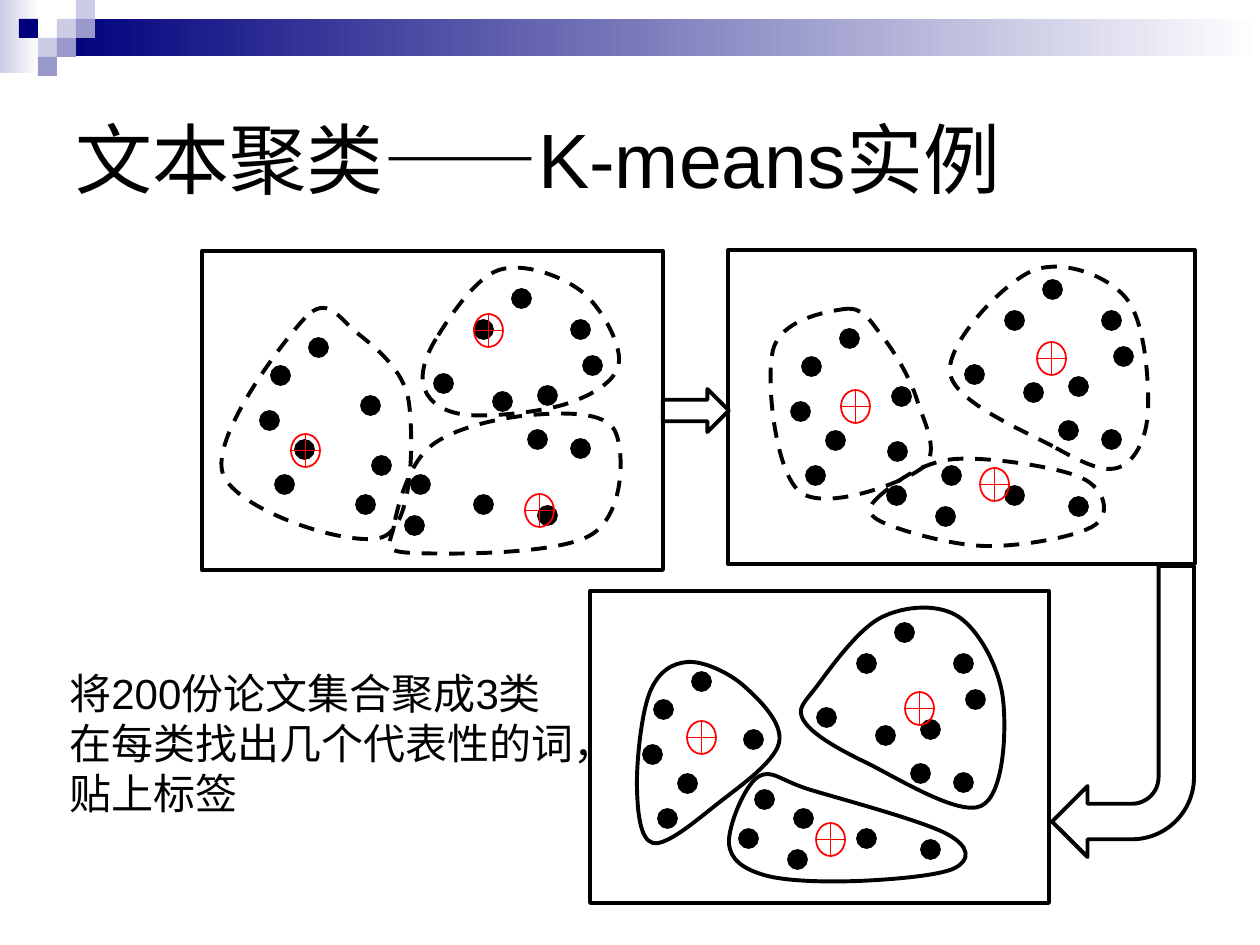
import lxml.etree
import pptx
import pptx.dml.color
import pptx.enum.dml
import pptx.enum.lang
import pptx.enum.shapes
import pptx.enum.text
import pptx.oxml.ns
import pptx.util

RGBColor = pptx.dml.color.RGBColor
SHAPE = pptx.enum.shapes.MSO_SHAPE
DASH = pptx.enum.dml.MSO_LINE.DASH
SCALE = 914400 / 126

BLACK = RGBColor(0x00, 0x00, 0x00)
WHITE = RGBColor(0xFF, 0xFF, 0xFF)
RED = RGBColor(0xFF, 0x00, 0x00)
NAVY = RGBColor(0x00, 0x00, 0x7D)
LAVENDER = RGBColor(0xCC, 0xCC, 0xE6)
PERIWINKLE = RGBColor(0x99, 0x99, 0xCC)

TILE = 19
TILES = [(3, 1, LAVENDER), (4, 0, LAVENDER), (4, 1, PERIWINKLE), (2, 2, LAVENDER),
         (1, 1, NAVY), (3, 2, PERIWINKLE), (2, 3, PERIWINKLE)]

PAPERS = [(107, 87), (69, 115), (58, 160), (336, 135), (93, 189), (73, 224), (154, 244),
          (209, 224), (159, 145), (369, 188), (326, 179), (336, 255), (272, 244),
          (203, 265), (291, 141), (232, 123), (381, 105), (310, 38), (272, 69), (369, 69)]

STEPS = [
    {"box": (202, 251, 461, 319), "shift": (0, 0), "moving_paper": (170, 205), "dash": DASH,
     "centroids": [(89, 183), (323, 243), (272, 63)],
     "clusters": [
         [(103, 67), (21, 223), (181, 286), (207, 152), (154, 81)],
         [(192, 275), (210, 302), (389, 284), (413, 180), (330, 164), (229, 195)],
         [(234, 88), (223, 139), (266, 164), (367, 152), (417, 111), (379, 40), (297, 19)]]},
    {"box": (728, 250, 467, 314), "shift": (5, -8), "moving_paper": (155, 200), "dash": DASH,
     "centroids": [(113, 140), (252, 218), (309, 92)],
     "clusters": [
         [(117, 59), (154, 86), (189, 150), (194, 218), (72, 242), (45, 100)],
         [(155, 243), (152, 271), (258, 296), (367, 275), (354, 228), (227, 209)],
         [(328, 198), (392, 217), (420, 160), (398, 48), (304, 21), (222, 123)]]},
    {"box": (590, 591, 459, 312), "shift": (-5, -6), "moving_paper": (170, 205), "dash": None,
     "centroids": [(97, 130), (315, 101), (226, 232)],
     "clusters": [
         [(98, 71), (60, 101), (47, 195), (63, 252), (126, 214), (189, 152), (154, 95)],
         [(214, 130), (275, 171), (391, 215), (413, 108), (369, 26), (292, 26), (227, 95)],
         [(139, 252), (174, 284), (267, 290), (365, 277), (357, 243), (221, 199), (168, 186)]]},
]


def px(length):
    """Turn pixels into EMU."""
    return pptx.util.Emu(round(length * SCALE))


def set_values(target, values):
    """Set each named attribute of the target."""
    for name, value in values.items():
        setattr(target, name, value)


def paint(shape, fill=None, line=None, width=1, dash=None):
    """Give a shape its fill and outline, without shadow."""
    shape.shadow.inherit = False
    if fill is None:
        shape.fill.background()
    else:
        shape.fill.solid()
        shape.fill.fore_color.rgb = fill
    if line is None:
        shape.line.fill.background()
    else:
        shape.line.color.rgb = line
        set_values(shape.line, {"width": pptx.util.Pt(width), "dash_style": dash})


def add_preset(shapes, kind, box, **style):
    """Add a painted preset shape in a pixel box."""
    shape = shapes.add_shape(kind, *map(px, box))
    paint(shape, **style)
    return shape


def add_header(slide, left, top):
    """Draw the gradient band and its tiles."""
    shapes = slide.shapes.add_group_shape().shapes
    bands = [((0, 0, 39, 73), LAVENDER), ((57, TILE, 1203, 37), NAVY)]
    for (x, y, width, height), colour in bands:
        band = add_preset(shapes, SHAPE.RECTANGLE, (left + x, top + y, width, height))
        band.fill.gradient()
        band.fill.gradient_angle = 0
        for stop, stop_colour in zip(band.fill.gradient_stops, (colour, WHITE)):
            stop.color.rgb = stop_colour
    for column, row, colour in TILES:
        tile_box = (left + column * TILE, top + row * TILE, TILE, TILE)
        add_preset(shapes, SHAPE.RECTANGLE, tile_box, fill=colour)


def smooth_curves(anchors):
    """Return the Bezier pieces of a closed Catmull-Rom curve."""
    count = len(anchors)
    pieces = []
    for i in range(count):
        before, start, end, after = (anchors[(i + k) % count] for k in (-1, 0, 1, 2))
        leave = tuple(s + (e - b) / 6 for b, s, e in zip(before, start, end))
        arrive = tuple(e - (a - s) / 6 for s, e, a in zip(start, end, after))
        pieces.append((start, leave, arrive, end))
    return pieces


def curve_bounds(pieces, samples=16):
    """Return the opposite corners around Bezier pieces."""
    points = []
    for piece in pieces:
        for t in (step / samples for step in range(samples)):
            u = 1 - t
            points.append([u ** 3 * a + 3 * u * u * t * b + 3 * u * t * t * c + t ** 3 * d
                           for a, b, c, d in zip(*piece)])
    xs, ys = zip(*points)
    return (min(xs), min(ys)), (max(xs), max(ys))


def add_cluster(shapes, left, top, anchors, dash):
    """Draw a smooth closed outline through the anchors."""
    pieces = smooth_curves(anchors)
    (x0, y0), (x1, y1) = curve_bounds(pieces)
    builder = shapes.build_freeform(px(left + x0), px(top + y0))
    builder.add_line_segments([(px(left + x1), px(top + y1))])
    cluster = builder.convert_to_shape()
    qn = pptx.oxml.ns.qn
    outline = cluster.element.find(".//" + qn("a:path"))
    for child in list(outline):
        outline.remove(child)
    moves = [("a:moveTo", pieces[0][:1])] + [("a:cubicBezTo", piece[1:]) for piece in pieces]
    for tag, points in moves:
        move = lxml.etree.SubElement(outline, qn(tag))
        for x, y in points:
            lxml.etree.SubElement(move, qn("a:pt"), x=str(int(px(x - x0))), y=str(int(px(y - y0))))
    lxml.etree.SubElement(outline, qn("a:close"))
    paint(cluster, line=BLACK, width=2.25, dash=dash)


def add_step(slide, box, shift, moving_paper, dash, centroids, clusters):
    """Draw one clustering step inside its frame."""
    left, top, _, _ = box
    shapes = slide.shapes.add_group_shape().shapes
    for x, y in PAPERS + [moving_paper]:
        paper_box = (left + shift[0] + x, top + shift[1] + y, 19, 19)
        add_preset(shapes, SHAPE.OVAL, paper_box, fill=BLACK, line=BLACK)
    for anchors in clusters:
        add_cluster(shapes, left, top, anchors, dash)
    for x, y in centroids:
        add_preset(shapes, SHAPE.FLOWCHART_OR, (left + x, top + y, 29, 33), line=RED)
    add_preset(shapes, SHAPE.RECTANGLE, box, line=BLACK, width=2.25)


def add_arrows(slide, forward_box, down_box):
    """Draw the arrows that lead from step to step."""
    add_preset(slide.shapes, SHAPE.RIGHT_ARROW, forward_box, line=BLACK, width=2.25)
    bend = add_preset(slide.shapes, SHAPE.BENT_ARROW, down_box,
                      fill=WHITE, line=BLACK, width=2.25)
    bend.rotation = 180


def write_lines(frame, lines, size):
    """Write left-aligned lines of text."""
    for i, line in enumerate(lines):
        paragraph = frame.paragraphs[0] if i == 0 else frame.add_paragraph()
        paragraph.alignment = pptx.enum.text.PP_ALIGN.LEFT
        run = paragraph.add_run()
        run.text = line
        set_values(run.font, {"name": "Arial", "size": pptx.util.Pt(size),
                              "language_id": pptx.enum.lang.MSO_LANGUAGE_ID.SIMPLIFIED_CHINESE})
        run.font.color.rgb = BLACK


def add_title(slide, box):
    """Place the slide title."""
    title = slide.shapes.title
    set_values(title, dict(zip(("left", "top", "width", "height"), map(px, box))))
    set_values(title.text_frame, {"vertical_anchor": pptx.enum.text.MSO_ANCHOR.MIDDLE,
                                  "auto_size": pptx.enum.text.MSO_AUTO_SIZE.NONE})
    write_lines(title.text_frame, ["文本聚类——K-means实例"], 44)


def add_task(slide, box):
    """Place the description of the task."""
    task = slide.shapes.add_textbox(*map(px, box))
    set_values(task.text_frame, {"word_wrap": False,
                                 "auto_size": pptx.enum.text.MSO_AUTO_SIZE.SHAPE_TO_FIT_TEXT})
    write_lines(task.text_frame,
                ["将200份论文集合聚成3类", "在每类找出几个代表性的词，", "贴上标签"], 24)


def main():
    """Build the slide and save it."""
    deck = pptx.Presentation()
    set_values(deck, {"slide_width": px(1260), "slide_height": px(945)})
    slide = deck.slides.add_slide(deck.slide_layouts[5])
    add_header(slide, 0, 0)
    for step in STEPS:
        add_step(slide, **step)
    add_arrows(slide, (663, 389, 66, 43), (1052, 566, 142, 291))
    add_title(slide, (63, 63, 1134, 189))
    add_task(slide, (57, 661, 588, 165))
    deck.save("out.pptx")


if __name__ == "__main__":
    main()
